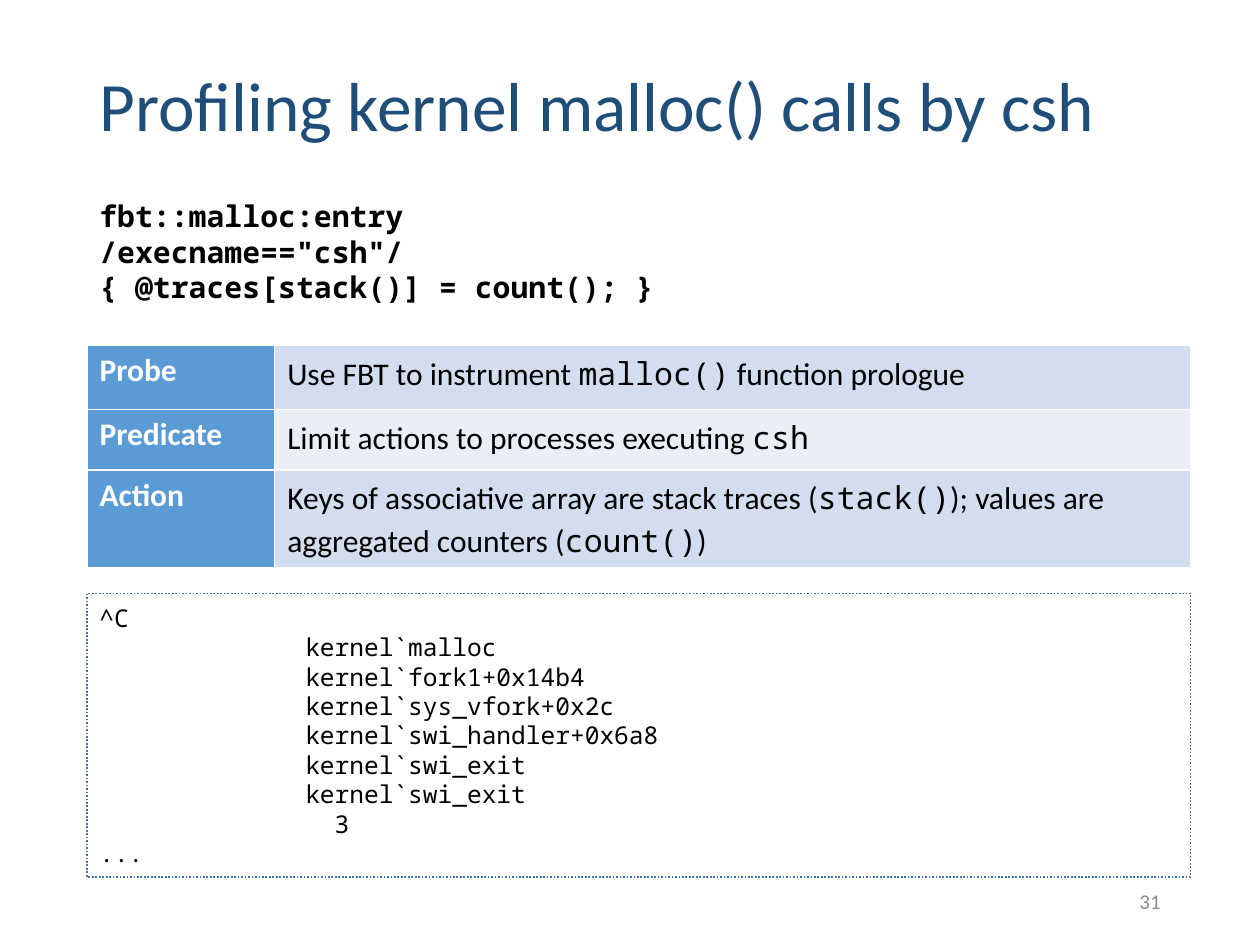
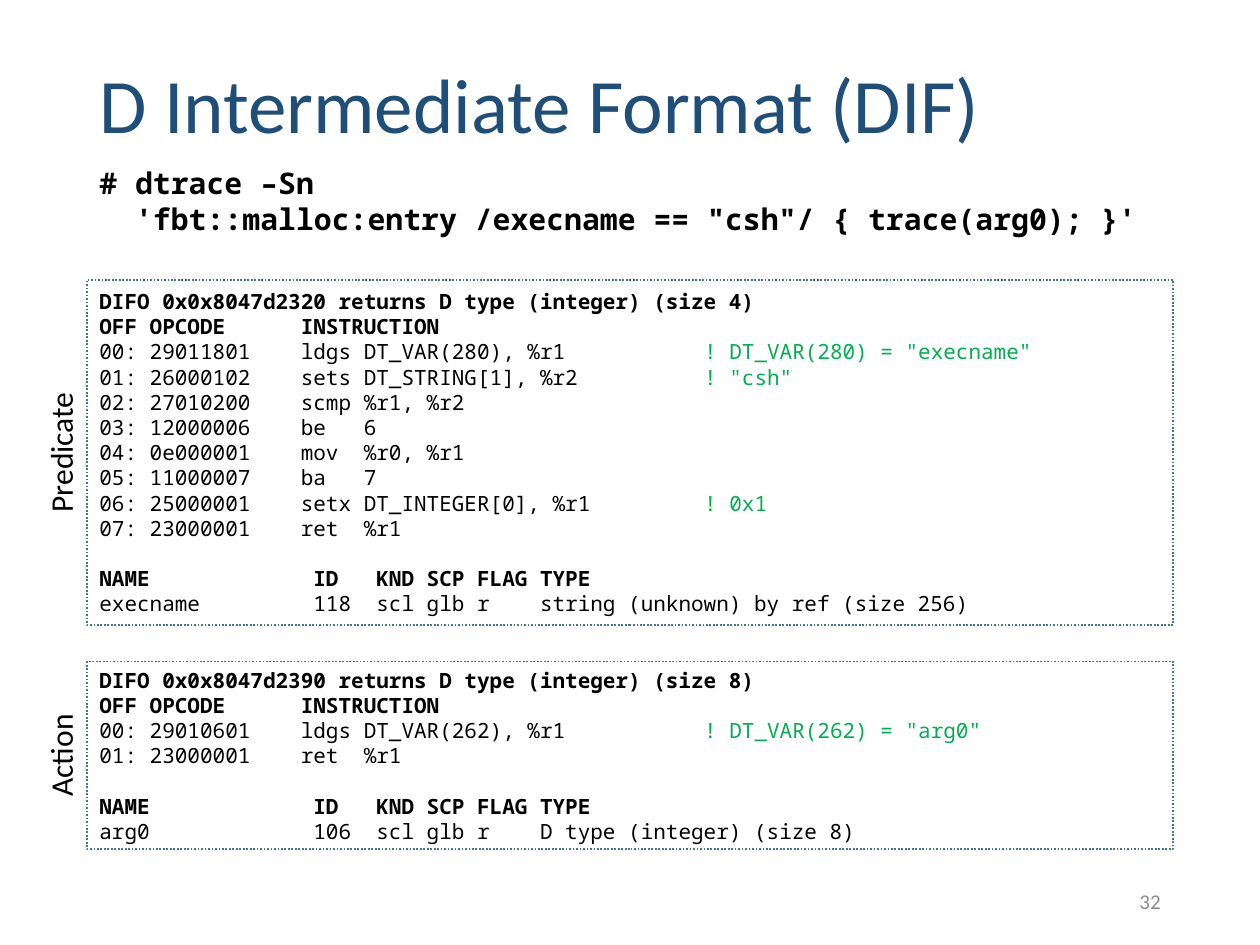
import pptx
import pptx.util
import pptx.dml.color
import pptx.enum.dml
import pptx.enum.shapes
import pptx.enum.text

Inches = pptx.util.Inches
Pt = pptx.util.Pt
RGBColor = pptx.dml.color.RGBColor
ALIGN = pptx.enum.text.PP_ALIGN
ANCHOR = pptx.enum.text.MSO_ANCHOR

NAVY = RGBColor(0x1F, 0x4E, 0x79)
BLUE = RGBColor(0x5B, 0x9B, 0xD5)
BORDER = RGBColor(0x43, 0x73, 0x9E)
BANDS = (RGBColor(0xD2, 0xDE, 0xEF), RGBColor(0xEA, 0xEF, 0xF7))
GREEN = RGBColor(0x00, 0xB0, 0x50)
GREY = RGBColor(0x8C, 0x8C, 0x8C)
BLACK = RGBColor(0, 0, 0)
WHITE = RGBColor(255, 255, 255)

SANS = "Calibri"
MONO = "Noto Sans Mono"
LEFT = 0.69
WIDTH = 8.62
WIDE = 8.76
LABEL_CENTRE = 0.48
LABEL_HEIGHT = 0.4
CODE_GAP = 14.4
BOLD_STARTS = ("DIFO", "OFF", "NAME")

PROFILING = {
    "title": "Profiling kernel malloc() calls by csh",
    "title_size": 39.6,
    "number": 31,
    "script_place": (1.52, 1.02),
    "script": [
        "fbt::malloc:entry",
        '/execname=="csh"/',
        "{ @traces[stack()] = count(); }",
    ],
}
CLAUSES = [
    ("Probe", "Use FBT to instrument |malloc()| function prologue"),
    ("Predicate", "Limit actions to processes executing |csh|"),
    ("Action", "Keys of associative array are stack traces (|stack()|); "
               "values are aggregated counters (|count()|)"),
]
COLUMN_WIDTHS = (1.49, 7.27)
ROW_HEIGHTS = (0.51, 0.48, 0.78)
TRACE = [
    "^C",
    "              kernel`malloc",
    "              kernel`fork1+0x14b4",
    "              kernel`sys_vfork+0x2c",
    "              kernel`swi_handler+0x6a8",
    "              kernel`swi_exit",
    "              kernel`swi_exit",
    "                3",
    "...",
]

FORMAT = {
    "title": "D Intermediate Format (DIF)",
    "title_size": 44,
    "number": 32,
    "script_place": (1.26, 0.85),
    "script": [
        "# dtrace –Sn",
        "  'fbt::malloc:entry /execname == \"csh\"/ { trace(arg0); }'",
    ],
}
LISTINGS = [
    ("Predicate", 2.22, 2.74, [
        "DIFO 0x0x8047d2320 returns D type (integer) (size 4)",
        "OFF OPCODE      INSTRUCTION",
        '00: 29011801    ldgs DT_VAR(280), %r1           ! DT_VAR(280) = "execname"',
        '01: 26000102    sets DT_STRING[1], %r2          ! "csh"',
        "02: 27010200    scmp %r1, %r2",
        "03: 12000006    be   6",
        "04: 0e000001    mov  %r0, %r1",
        "05: 11000007    ba   7",
        "06: 25000001    setx DT_INTEGER[0], %r1         ! 0x1",
        "07: 23000001    ret  %r1",
        "NAME             ID   KND SCP FLAG TYPE",
        "execname         118  scl glb r    string (unknown) by ref (size 256)",
    ]),
    ("Action", 5.25, 1.49, [
        "DIFO 0x0x8047d2390 returns D type (integer) (size 8)",
        "OFF OPCODE      INSTRUCTION",
        '00: 29010601    ldgs DT_VAR(262), %r1           ! DT_VAR(262) = "arg0"',
        "01: 23000001    ret  %r1",
        "NAME             ID   KND SCP FLAG TYPE",
        "arg0             106  scl glb r    D type (integer) (size 8)",
    ]),
]


def style(font, size, name=SANS, color=BLACK, bold=False):
    font.size = Pt(size)
    font.name = name
    font.color.rgb = color
    font.bold = bold


def paragraphs(frame, lines):
    for index, line in enumerate(lines):
        para = frame.paragraphs[0] if index == 0 else frame.add_paragraph()
        yield para, line


def add_text(page, place, lines, align=ALIGN.LEFT, anchor=ANCHOR.TOP, **look):
    box = page.shapes.add_textbox(*map(Inches, place))
    frame = box.text_frame
    frame.word_wrap = True
    frame.vertical_anchor = anchor
    for para, line in paragraphs(frame, lines):
        para.text = line
        para.alignment = align
        style(para.font, **look)
    return box


def add_page(deck, content):
    page = deck.slides.add_slide(deck.slide_layouts[5])
    title = page.shapes.title
    title.left, title.top, title.width, title.height = map(
        Inches, (LEFT, 0.25, WIDTH, 1.23))
    frame = title.text_frame
    frame.text = content["title"]
    frame.auto_size = pptx.enum.text.MSO_AUTO_SIZE.NONE
    frame.vertical_anchor = ANCHOR.MIDDLE
    para = frame.paragraphs[0]
    para.alignment = ALIGN.LEFT
    para.line_spacing = 0.9
    style(para.font, content["title_size"], color=NAVY)

    add_text(page, (7.06, 6.95, 2.25, 0.4), [str(content["number"])],
             ALIGN.RIGHT, ANCHOR.MIDDLE, size=12, color=GREY)
    top, height = content["script_place"]
    add_text(page, (LEFT, top, WIDTH, height), content["script"],
             size=17, name=MONO, bold=True)
    return page


def add_code_panel(page, top, width, height, lines, size):
    panel = page.shapes.add_shape(
        pptx.enum.shapes.MSO_SHAPE.RECTANGLE,
        *map(Inches, (LEFT, top, width, height)))
    panel.shadow.inherit = False
    panel.fill.background()
    panel.line.color.rgb = BORDER
    panel.line.width = Pt(1)
    panel.line.dash_style = pptx.enum.dml.MSO_LINE.ROUND_DOT
    frame = panel.text_frame
    frame.word_wrap = True
    frame.vertical_anchor = ANCHOR.MIDDLE
    for para, line in paragraphs(frame, lines):
        code, mark, remark = line.partition("!")
        para.alignment = ALIGN.LEFT
        if line.startswith("NAME"):
            para.space_before = Pt(CODE_GAP)
        style(para.font, size, MONO, bold=line.startswith(BOLD_STARTS))
        para.add_run().text = code
        if mark:
            span = para.add_run()
            span.text = mark + remark
            span.font.color.rgb = GREEN


def add_clause_table(page):
    table = page.shapes.add_table(
        len(CLAUSES), len(COLUMN_WIDTHS),
        *map(Inches, (LEFT, 2.74, WIDE, sum(ROW_HEIGHTS)))).table
    table.first_row = False
    table.horz_banding = False
    for column, width in zip(table.columns, COLUMN_WIDTHS):
        column.width = Inches(width)
    for index, (name, meaning) in enumerate(CLAUSES):
        table.rows[index].height = Inches(ROW_HEIGHTS[index])
        head, body = table.rows[index].cells
        for cell, color in ((head, BLUE), (body, BANDS[index % 2])):
            cell.fill.solid()
            cell.fill.fore_color.rgb = color
        head.text = name
        style(head.text_frame.paragraphs[0].font, 18, color=WHITE, bold=True)
        para = body.text_frame.paragraphs[0]
        for part, text in enumerate(meaning.split("|")):
            if text:
                span = para.add_run()
                span.text = text
                style(span.font, 18, MONO if part % 2 else SANS)


def add_side_label(page, text, top, height):
    middle = top + height / 2
    place = (LABEL_CENTRE - height / 2, middle - LABEL_HEIGHT / 2,
             height, LABEL_HEIGHT)
    label = add_text(page, place, [text], ALIGN.CENTER, size=18)
    label.rotation = 270


def main():
    deck = pptx.Presentation()
    deck.slide_width = Inches(10)
    deck.slide_height = Inches(7.5)

    page = add_page(deck, PROFILING)
    add_clause_table(page)
    add_code_panel(page, 4.71, WIDE, 2.25, TRACE, 14)

    page = add_page(deck, FORMAT)
    for name, top, height, lines in LISTINGS:
        add_code_panel(page, top, WIDTH, height, lines, 12)
        add_side_label(page, name, top, height)

    deck.save("out.pptx")


if __name__ == "__main__":
    main()
